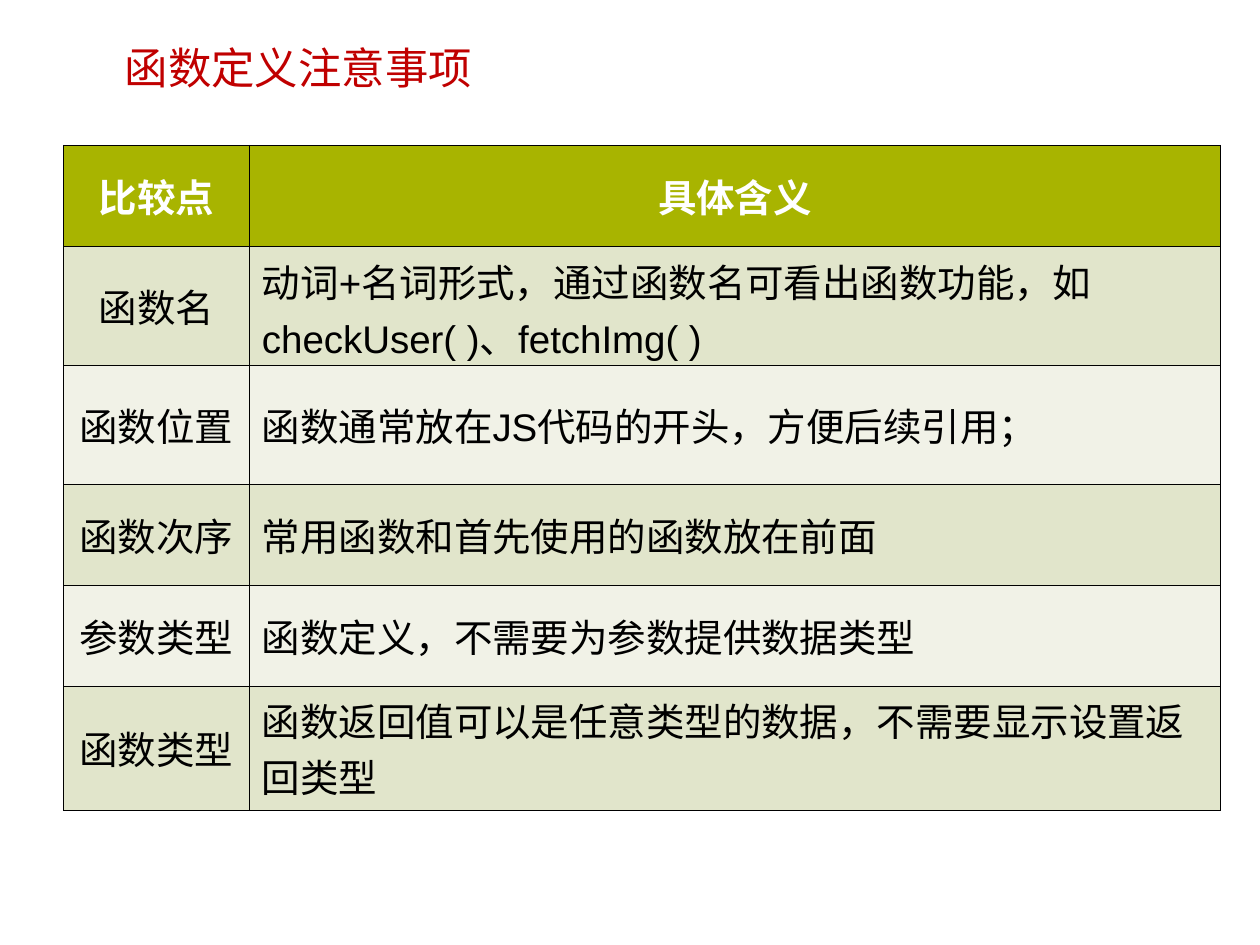
import pptx
import pptx.dml.color
import pptx.enum.text
import pptx.oxml
import pptx.oxml.ns
import pptx.util

Pt = pptx.util.Pt
RGBColor = pptx.dml.color.RGBColor
MIDDLE = pptx.enum.text.MSO_ANCHOR.MIDDLE
ALIGN = pptx.enum.text.PP_ALIGN

TITLE_RED = RGBColor(0xC0, 0x00, 0x00)
HEADER_GREEN = RGBColor(0xA8, 0xB4, 0x00)
BAND_DARK = RGBColor(0xE1, 0xE5, 0xCB)
BAND_LIGHT = RGBColor(0xF1, 0xF2, 0xE7)
WHITE = RGBColor(0xFF, 0xFF, 0xFF)
BLACK = RGBColor(0x00, 0x00, 0x00)

LATIN_FONT = "Arial"
CHINESE_FONT = "Noto Sans CJK SC"
COLUMN_WIDTHS = (106.3, 554.9)
# Row height, label, meaning
ROWS = (
    (57.7, "比较点", "具体含义"),
    (68, "函数名", "动词+名词形式，通过函数名可看出函数功能，如checkUser( )、fetchImg( )"),
    (68, "函数位置", "函数通常放在JS代码的开头，方便后续引用；"),
    (57.7, "函数次序", "常用函数和首先使用的函数放在前面"),
    (57.7, "参数类型", "函数定义，不需要为参数提供数据类型"),
    (71, "函数类型", "函数返回值可以是任意类型的数据，不需要显示设置返回类型"),
)


def add_run(paragraph, text, size, color, latin_font, bold=False):
    run = paragraph.add_run()
    run.text = text
    run.font.size = Pt(size)
    run.font.bold = bold
    run.font.color.rgb = color
    run.font.name = latin_font
    east_asian = pptx.oxml.parse_xml(
        f'<a:ea {pptx.oxml.ns.nsdecls("a")} typeface="{CHINESE_FONT}"/>')
    run.font._element.find(pptx.oxml.ns.qn("a:latin")).addnext(east_asian)


def add_title(slide, text):
    title = slide.shapes.title
    title.left, title.top = Pt(64), Pt(18.7)
    title.width, title.height = Pt(484), Pt(39)
    frame = title.text_frame
    frame.word_wrap = True
    frame.auto_size = pptx.enum.text.MSO_AUTO_SIZE.NONE
    frame.vertical_anchor = MIDDLE
    paragraph = frame.paragraphs[0]
    paragraph.alignment = ALIGN.LEFT
    add_run(paragraph, text, 24.8, TITLE_RED, CHINESE_FONT)


def set_borders(cell):
    """Draw a thin black line on all four sides, placed before the fill."""
    properties = cell._tc.get_or_add_tcPr()
    for index, side in enumerate(("lnL", "lnR", "lnT", "lnB")):
        properties.insert(index, pptx.oxml.parse_xml(
            f'<a:{side} {pptx.oxml.ns.nsdecls("a")} w="{Pt(0.45)}">'
            f'<a:solidFill><a:srgbClr val="{BLACK}"/></a:solidFill></a:{side}>'))


def format_cell(cell, text, fill, color, alignment, bold):
    cell.fill.solid()
    cell.fill.fore_color.rgb = fill
    cell.vertical_anchor = MIDDLE
    set_borders(cell)
    paragraph = cell.text_frame.paragraphs[0]
    paragraph.alignment = alignment
    add_run(paragraph, text, 22, color, LATIN_FONT, bold)


def add_comparison_table(slide):
    heights = [row[0] for row in ROWS]
    table = slide.shapes.add_table(
        len(ROWS), len(COLUMN_WIDTHS), Pt(36.2), Pt(83),
        Pt(sum(COLUMN_WIDTHS)), Pt(sum(heights))).table
    for column, width in zip(table.columns, COLUMN_WIDTHS):
        column.width = Pt(width)
    for index, (height, *texts) in enumerate(ROWS):
        table.rows[index].height = Pt(height)
        is_header = index == 0
        band = BAND_DARK if index % 2 else BAND_LIGHT
        for column, text in enumerate(texts):
            centred = is_header or column == 0
            format_cell(
                table.cell(index, column), text,
                HEADER_GREEN if is_header else band,
                WHITE if is_header else BLACK,
                ALIGN.CENTER if centred else ALIGN.LEFT, is_header)
    # Two lines of text fill the name row to its lower edge
    table.cell(1, 1).margin_bottom = Pt(0)


def main():
    presentation = pptx.Presentation()
    presentation.slide_width, presentation.slide_height = Pt(720), Pt(540)
    slide = presentation.slides.add_slide(presentation.slide_layouts[5])
    add_title(slide, "函数定义注意事项")
    add_comparison_table(slide)
    presentation.save("out.pptx")


if __name__ == "__main__":
    main()
